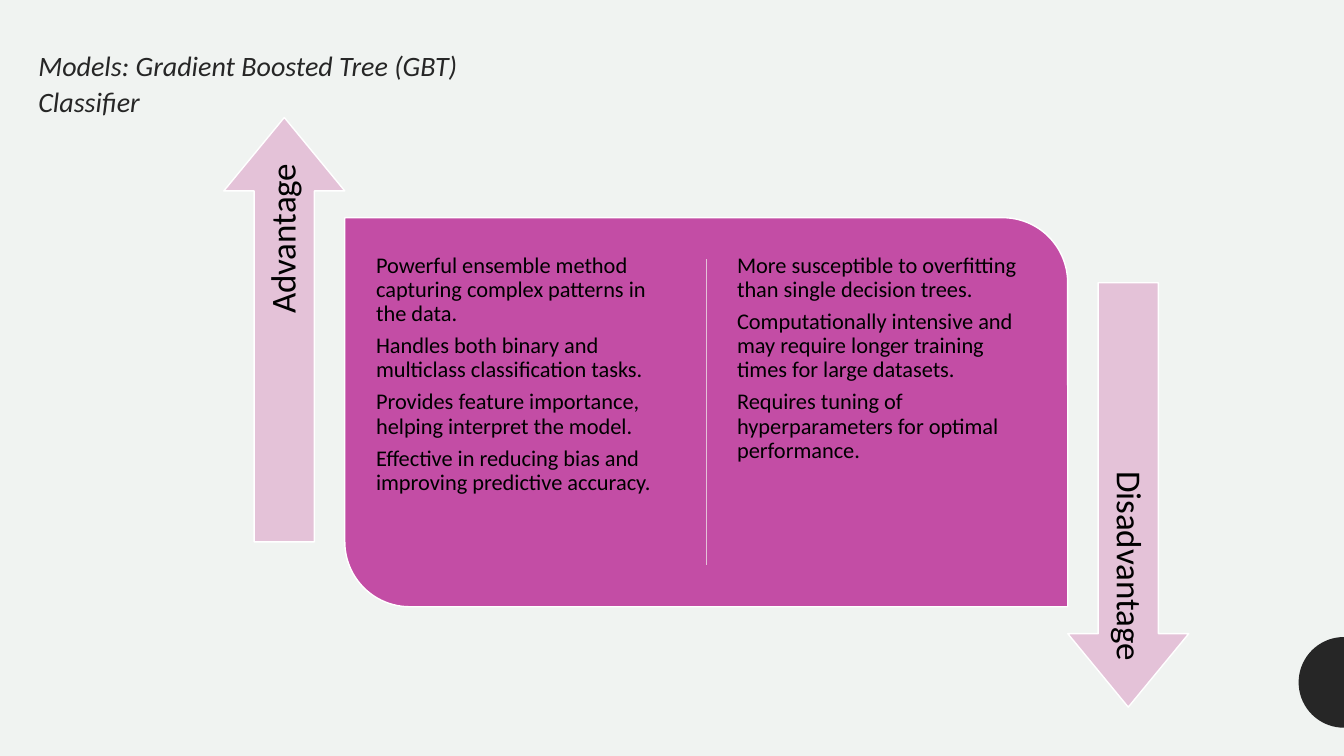
"""Build a slide on the strengths and limits of gradient boosted trees."""
from dataclasses import dataclass
from math import cos, pi, sin

from lxml import etree
from pptx import Presentation
from pptx import util as u
from pptx.dml.color import RGBColor
from pptx.enum import shapes, text
from pptx.oxml.ns import qn

PAPER = RGBColor(0xF0, 0xF3, 0xF1)
INK = RGBColor(0x26, 0x26, 0x26)
BLACK = RGBColor(0, 0, 0)
WHITE = RGBColor(0xFF, 0xFF, 0xFF)
PINK = RGBColor(0xC3, 0x4D, 0xA5)
PALE = RGBColor(0xE4, 0xC2, 0xD8)
WIDE, HIGH = 13.33, 7.5


@dataclass
class Column:
    left: float
    lines: list[str]


@dataclass
class Arrow:
    label: str
    mid_x: float
    mid_y: float
    turn: int
    shift: float


COLUMNS = [
    Column(3.66, [
        "Powerful ensemble method capturing complex patterns in the data.",
        "Handles both binary and multiclass classification tasks.",
        "Provides feature importance, helping interpret the model.",
        "Effective in reducing bias and improving predictive accuracy.",
    ]),
    Column(7.24, [
        "More susceptible to overfitting than single decision trees.",
        "Computationally intensive and may require longer training times for large datasets.",
        "Requires tuning of hyperparameters for optimal performance.",
    ]),
]
ARROWS = [
    Arrow("Advantage", 2.82, 3.27, 270, 0.18),
    Arrow("Disadvantage", 11.19, 4.91, 90, -0.18),
]


def write(box, lines: list[str], size: float, color=BLACK, italic=False, inset=0.1,
          anchor=text.MSO_ANCHOR.MIDDLE, align=text.PP_ALIGN.LEFT,
          pitch=0.9, after=0.0) -> None:
    """Fill a box with formatted paragraphs."""
    frame = box.text_frame
    frame.text = "\n".join(lines)
    frame.word_wrap = True
    frame.auto_size = text.MSO_AUTO_SIZE.NONE
    frame.vertical_anchor = anchor
    frame.margin_left = frame.margin_right = u.Inches(inset)
    frame.margin_top = frame.margin_bottom = u.Inches(inset)
    for para in frame.paragraphs:
        para.alignment = align
        para.line_spacing = pitch
        para.space_before = u.Pt(0)
        para.space_after = u.Pt(after)
        font = para.font
        font.name, font.size, font.italic = "Calibri", u.Pt(size), italic
        font.color.rgb = color


def paint(shape, fill: RGBColor, edge: RGBColor | None = None) -> None:
    """Give a shape a flat fill and an optional thin edge."""
    shape.shadow.inherit = False
    shape.fill.solid()
    shape.fill.fore_color.rgb = fill
    if edge is None:
        shape.line.fill.background()
    else:
        shape.line.color.rgb = edge
        shape.line.width = u.Pt(1)


def centred(mid_x: float, mid_y: float, width: float, height: float) -> list[u.Length]:
    """Return left, top, width and height around a centre."""
    return [u.Inches(n) for n in (mid_x - width / 2, mid_y - height / 2, width, height)]


def draw_arrow(slide, arrow: Arrow) -> None:
    """Draw a turned arrow and its label."""
    shape = slide.shapes.add_shape(shapes.MSO_SHAPE.RIGHT_ARROW,
                                   *centred(arrow.mid_x, arrow.mid_y, 4.21, 1.2))
    shape.adjustments[0], shape.adjustments[1] = 0.498, 0.607
    paint(shape, PALE, WHITE)
    label = slide.shapes.add_textbox(
        *centred(arrow.mid_x, arrow.mid_y + arrow.shift, 3.85, 0.6))
    write(label, [arrow.label], 25, align=text.PP_ALIGN.RIGHT)
    shape.rotation = label.rotation = arrow.turn


def draw_dot(slide, mid_y: float = 6.77, radius: float = 0.45, steps: int = 36) -> None:
    """Draw the half disc on the right edge."""
    angles = [pi * step / steps for step in range(steps + 1)]
    points = [(u.Inches(WIDE - radius * sin(a)), u.Inches(mid_y - radius * cos(a)))
              for a in angles]
    path = slide.shapes.build_freeform(*points[0])
    path.add_line_segments(points[1:], close=True)
    paint(path.convert_to_shape(), INK)


def draw_panel(slide) -> None:
    """Draw the panel, its divider and its two columns."""
    panel = slide.shapes.add_shape(
        shapes.MSO_SHAPE.ROUND_2_DIAG_RECTANGLE,
        u.Inches(3.42), u.Inches(2.16), u.Inches(7.17), u.Inches(3.86))
    panel.adjustments[0], panel.adjustments[1] = 0, 0.167
    paint(panel, PINK, WHITE)
    rule = slide.shapes.add_connector(
        shapes.MSO_CONNECTOR.STRAIGHT,
        u.Inches(7.01), u.Inches(2.57), u.Inches(7.01), u.Inches(5.61))
    rule.line.color.rgb = PALE
    rule.line.width = u.Pt(1)
    etree.SubElement(rule._element.spPr, qn("a:effectLst"))
    for column in COLUMNS:
        box = slide.shapes.add_textbox(
            u.Inches(column.left), u.Inches(2.45), u.Inches(3.11), u.Inches(3.27))
        write(box, column.lines, 16, inset=0.07, anchor=text.MSO_ANCHOR.TOP, after=5.6)


def main() -> None:
    """Build and save the slide."""
    deck = Presentation()
    deck.slide_width, deck.slide_height = u.Inches(WIDE), u.Inches(HIGH)
    slide = deck.slides.add_slide(deck.slide_layouts[5])
    slide.background.fill.solid()
    slide.background.fill.fore_color.rgb = PAPER
    title = slide.shapes.title
    title.left, title.top = u.Inches(0.28), u.Inches(0.36)
    title.width, title.height = u.Inches(4.73), u.Inches(0.9)
    write(title, ["Models: Gradient Boosted Tree (GBT) Classifier"], 20,
          color=INK, italic=True, pitch=1.1, after=4)
    draw_dot(slide)
    draw_panel(slide)
    for arrow in ARROWS:
        draw_arrow(slide, arrow)
    deck.save("out.pptx")


if __name__ == "__main__":
    main()
